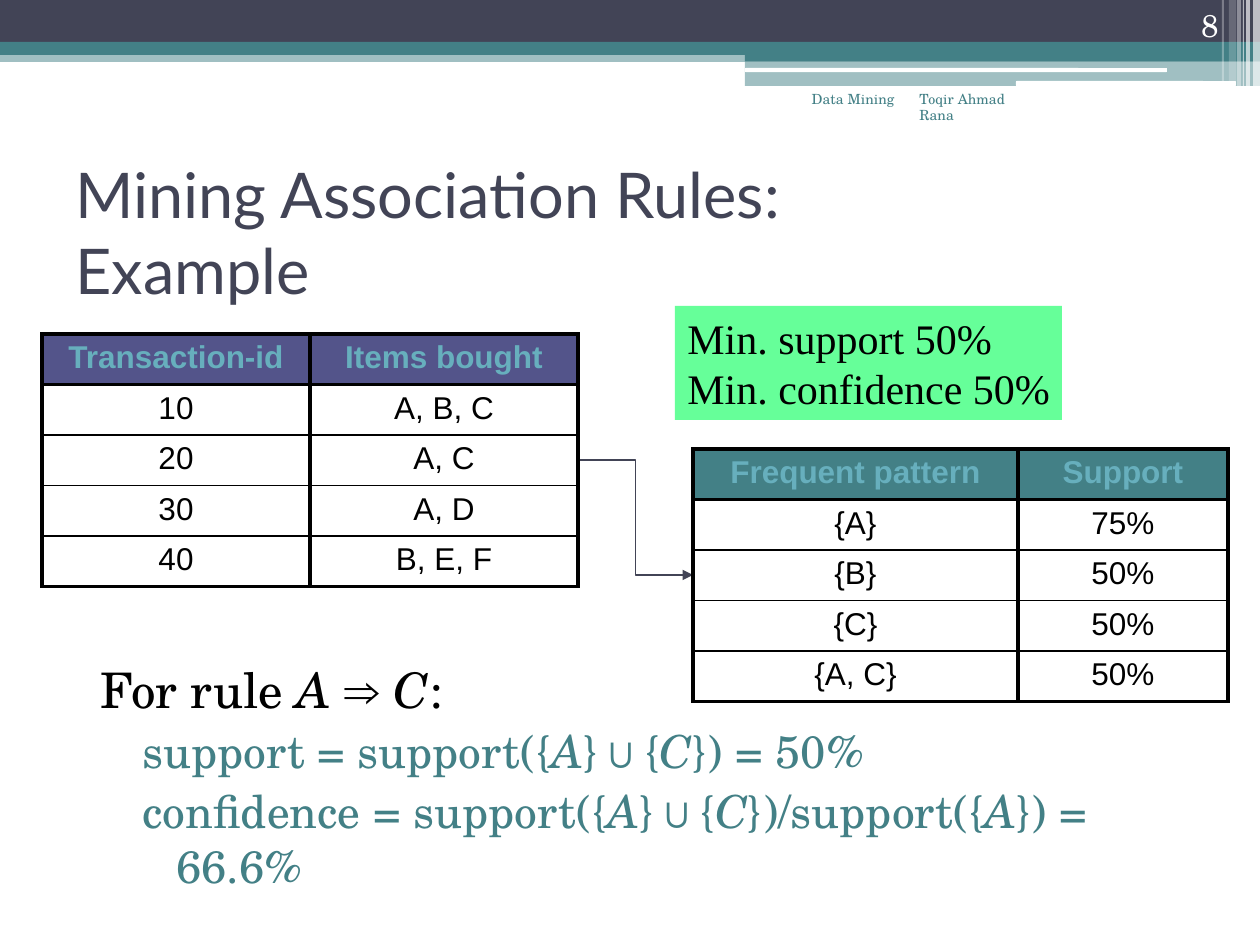
import pptx
import pptx.dml.color
import pptx.enum.shapes
import pptx.enum.text
import pptx.oxml
import pptx.oxml.ns
import pptx.util

RGBColor = pptx.dml.color.RGBColor
Shape = pptx.enum.shapes.MSO_SHAPE
Align = pptx.enum.text.PP_ALIGN
Anchor = pptx.enum.text.MSO_ANCHOR

NAVY = RGBColor(0x42, 0x44, 0x56)
TEAL = RGBColor(0x43, 0x80, 0x86)
INDIGO = RGBColor(0x53, 0x54, 0x8A)
SKY = RGBColor(0x67, 0xAF, 0xBD)
MINT = RGBColor(0x66, 0xFF, 0x99)
BLACK = RGBColor(0, 0, 0)
WHITE = RGBColor(0xFF, 0xFF, 0xFF)
SERIF = "TeX Gyre Schola"
PX_PER_INCH = 126


def px(length):
    """Turn pixels into EMU."""
    return pptx.util.Emu(round(length * 914400 / PX_PER_INCH))


def add_tag(parent, tag, **attributes):
    """Append a DrawingML element with the given attributes."""
    child = pptx.oxml.parse_xml(f"<{tag} {pptx.oxml.ns.nsdecls('a')}/>")
    for name, value in attributes.items():
        child.set(name, str(value))
    parent.append(child)
    return child


def add_block(page, box, color, opacity=100, kind=Shape.RECTANGLE):
    """Add a plain filled shape without outline or shadow."""
    block = page.shapes.add_shape(kind, *map(px, box))
    block.shadow.inherit = False
    block.fill.solid()
    block.fill.fore_color.rgb = color
    block.line.fill.background()
    if opacity < 100:
        fill = block.fill._xPr.find(pptx.oxml.ns.qn("a:solidFill"))
        add_tag(fill[0], "a:alpha", val=opacity * 1000)
    return block


def add_span(para, text, size, color, font=SERIF, bold=False, italic=False):
    """Add one styled run to a paragraph."""
    span = para.add_run()
    span.text = text
    span.font.size = pptx.util.Pt(size)
    span.font.name = font
    span.font.color.rgb = color
    span.font.bold = bold
    span.font.italic = italic


def add_text_frame(page, box, anchor=Anchor.TOP):
    """Add a wrapping text box and return its frame."""
    frame = page.shapes.add_textbox(*map(px, box)).text_frame
    frame.word_wrap = True
    frame.vertical_anchor = anchor
    return frame


def add_banner(page, box):
    """Draw the layered header bands and the stripes at their right end."""
    left, top, width, height = box
    right = left + width
    tab = left + 745
    add_block(page, (left, top + 50, width, 12), TEAL, 50)
    add_block(page, (left, top, width, 43), NAVY)
    add_block(page, (left, top + 42, width, 13), TEAL)
    add_block(page, (tab, top + 49, right - tab, 12), TEAL)
    add_block(page, (tab, top + 61, right - tab, height - 61), TEAL, 50)
    for x, y, length, thickness in ((tab, 68, 422, 4), (left + 1016, 81, 220, 5)):
        add_block(page, (x, top + y, length, thickness), WHITE, kind=Shape.ROUNDED_RECTANGLE)
    stripes = ((7, 7, 86, 65), (14, 4, 86, 65), (17, 1, 86, 60),
               (23, 4, 86, 40), (31, 7, 81, 20), (38, 2, 81, 30))
    for offset, stripe, length, opacity in stripes:
        add_block(page, (right - offset, top, stripe, length), WHITE, opacity)


def add_label(page, box, text, size, color, align=Align.LEFT, anchor=Anchor.TOP):
    """Add a one-paragraph header label."""
    para = add_text_frame(page, box, anchor).paragraphs[0]
    para.alignment = align
    add_span(para, text, size, color)


def add_title(page, box, lines):
    """Add the title, broken into the given lines."""
    para = add_text_frame(page, box, Anchor.MIDDLE).paragraphs[0]
    for index, line in enumerate(lines):
        if index:
            para.add_line_break()
        add_span(para, line, 36, NAVY, "Lato")


def add_thresholds(page, box, lines):
    """Add the green box with the minimum thresholds."""
    frame = add_block(page, box, MINT).text_frame
    frame.word_wrap = False
    frame.vertical_anchor = Anchor.MIDDLE
    for index, line in enumerate(lines):
        para = frame.add_paragraph() if index else frame.paragraphs[0]
        para.alignment = Align.LEFT
        add_span(para, line, 24, BLACK, "Times New Roman")


def add_borders(cell, top, bottom):
    """Draw black cell borders, with thick sides."""
    properties = cell._tc.get_or_add_tcPr()
    for side, width in (("L", 2.25), ("R", 2.25), ("T", top), ("B", bottom)):
        line = add_tag(properties, f"a:ln{side}", w=pptx.util.Pt(width))
        add_tag(add_tag(line, "a:solidFill"), "a:srgbClr", val=BLACK)


def add_grid(page, box, widths, rows, header_color):
    """Add a table with a coloured header row and equal row heights."""
    table = page.shapes.add_table(len(rows), len(widths), *map(px, box)).table
    table.horz_banding = False
    for column, width in zip(table.columns, widths):
        column.width = px(width)
    last = len(rows) - 1
    for r, values in enumerate(rows):
        table.rows[r].height = px(box[3] / len(rows))
        for c, value in enumerate(values):
            cell = table.cell(r, c)
            add_borders(cell, 2.25 if r < 2 else 1, 2.25 if r in (0, last) else 1)
            if r == 0:
                cell.fill.solid()
                cell.fill.fore_color.rgb = header_color
            else:
                cell.fill.background()
            para = cell.text_frame.paragraphs[0]
            para.alignment = Align.CENTER
            add_span(para, value, 18, BLACK if r else SKY, "Arial", bold=r == 0)


def add_link(page, start, end):
    """Add the elbow arrow between the two tables."""
    link = page.shapes.add_connector(
        pptx.enum.shapes.MSO_CONNECTOR.ELBOW, *map(px, start + end))
    link.line.color.rgb = NAVY
    link.line.width = pptx.util.Pt(0.75)
    add_tag(link.line._get_or_add_ln(), "a:tailEnd", type="triangle")
    add_tag(link._element.spPr, "a:effectLst")


def add_rule(page, box, paragraphs):
    """Add the rule with hanging indents, setting single letters in italics."""
    frame = add_text_frame(page, box)
    for index, parts in enumerate(paragraphs):
        para = frame.add_paragraph() if index else frame.paragraphs[0]
        para.space_before = pptx.util.Pt(3)
        margin, hang, size, color = (91, 34, 26, TEAL) if index else (50, 35, 28, BLACK)
        properties = para._p.get_or_add_pPr()
        properties.set("marL", str(px(margin)))
        properties.set("indent", str(-px(hang)))
        for part in parts:
            add_span(para, part, size, color, italic=part.strip() in ("A", "C"))


def main():
    """Build and save the slide."""
    deck = pptx.Presentation()
    deck.slide_width, deck.slide_height = px(1260), px(945)
    page = deck.slides.add_slide(deck.slide_layouts[6])
    add_banner(page, (0, 0, 1260, 86))
    add_title(page, (63, 158, 1134, 147), ("Mining Association Rules:", "Example"))
    add_rule(page, (73, 653, 1109, 292), (
        ("For rule ", "A ", "⇒ ", "C", ":"),
        ("support = support({", "A", "}∪{", "C", "}) = 50%"),
        ("confidence = support({", "A", "}∪{", "C", "})/support({", "A", "}) = 66.6%"),
    ))
    add_thresholds(page, (675, 306, 387, 114), ("Min. support 50%", "Min. confidence 50%"))
    add_link(page, (578, 460), (693, 575))
    add_grid(page, (42, 334, 536, 252), (268, 268), (
        ("Transaction-id", "Items bought"), ("10", "A, B, C"), ("20", "A, C"),
        ("30", "A, D"), ("40", "B, E, F")), INDIGO)
    add_grid(page, (693, 449, 535, 252), (325, 210), (
        ("Frequent pattern", "Support"), ("{A}", "75%"), ("{B}", "50%"),
        ("{C}", "50%"), ("{A, C}", "50%")), TEAL)
    add_label(page, (907, 84, 132, 63), "Toqir Ahmad Rana", 8, TEAL)
    add_label(page, (1126, 0, 105, 50), "8", 18, WHITE, Align.RIGHT, Anchor.BOTTOM)
    add_label(page, (725, 84, 182, 63), "Data Mining", 8, TEAL, Align.RIGHT)
    deck.save("out.pptx")


if __name__ == "__main__":
    main()
